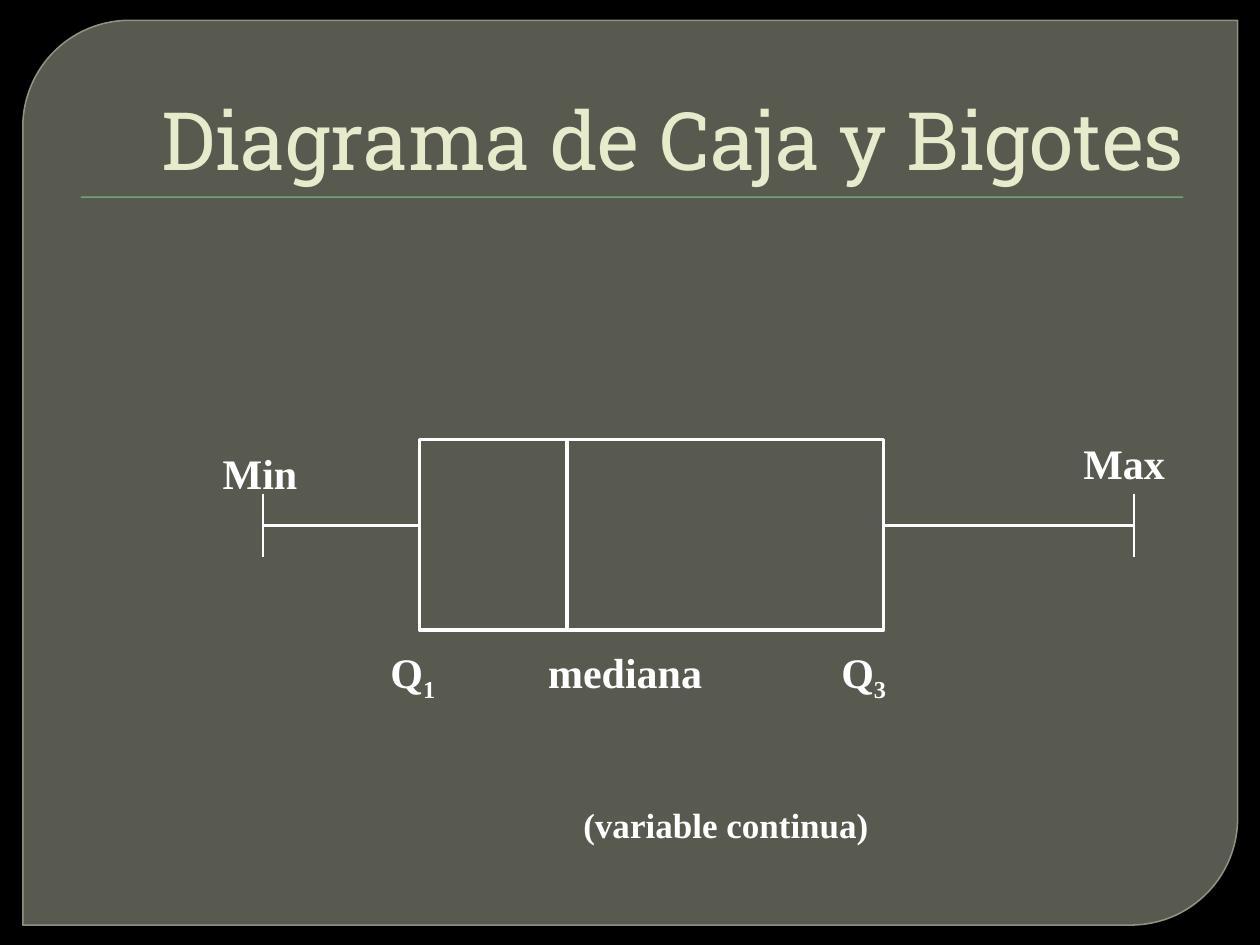
"""Builds a slide that explains the parts of a box-and-whisker diagram."""
from lxml import etree
from pptx import Presentation
from pptx import util as u
from pptx.dml.color import RGBColor
from pptx.enum import shapes, text
from pptx.oxml.ns import qn

COLORS = {"backdrop": "000000", "panel": "888B7B", "edge": "9DA090",
          "rule": "72A376", "title": "E7EACB", "plot": "FFFFFF"}


def color(name):
    return RGBColor.from_string(COLORS[name])


def set_alpha(fill_format, percent):
    rgb = fill_format.fore_color._xFill.find(qn("a:srgbClr"))
    etree.SubElement(rgb, qn("a:alpha")).set("val", str(percent * 1000))


def add_outline(slide, preset, left, top, width, height, fill=None, line=None, weight=1):
    outline = slide.shapes.add_shape(
        preset, u.Cm(left), u.Cm(top), u.Cm(width), u.Cm(height))
    outline.shadow.inherit = False
    if fill:
        outline.fill.solid()
        outline.fill.fore_color.rgb = color(fill)
    else:
        outline.fill.background()
    if line:
        outline.line.color.rgb = color(line)
        outline.line.width = u.Pt(weight)
    else:
        outline.line.fill.background()
    return outline


def add_line(slide, x1, y1, x2, y2, weight):
    line = slide.shapes.add_connector(
        shapes.MSO_CONNECTOR.STRAIGHT, u.Cm(x1), u.Cm(y1), u.Cm(x2), u.Cm(y2))
    line.line.color.rgb = color("plot")
    line.line.width = u.Pt(weight)
    etree.SubElement(line._element.spPr, qn("a:effectLst"))


def write(frame, words, subscript="", size=24, font="Times New Roman",
          ink="plot", bold=True, align=text.PP_ALIGN.LEFT):
    frame.word_wrap = True
    paragraph = frame.paragraphs[0]
    paragraph.alignment = align
    for part in filter(None, (words, subscript)):
        run = paragraph.add_run()
        run.text = part
        run.font.size = u.Pt(size)
        run.font.name = font
        run.font.bold = bold
        run.font.color.rgb = color(ink)
        if part == subscript:
            run._r.get_or_add_rPr().set("baseline", "-25000")


def add_label(slide, left, top, width, words, height=1.27, **style):
    label = slide.shapes.add_textbox(u.Cm(left), u.Cm(top), u.Cm(width), u.Cm(height))
    write(label.text_frame, words, **style)


def add_panel(slide, left, top, width, height):
    panel = add_outline(slide, shapes.MSO_SHAPE.ROUND_2_DIAG_RECTANGLE,
                        left, top, width, height, "panel", "edge", 0.87)
    panel.adjustments[0] = 0.118
    panel.adjustments[1] = 0
    set_alpha(panel.fill, 65)
    set_alpha(panel.line.fill, 88)


def add_heading(slide, left, top, width, height):
    add_outline(slide, shapes.MSO_SHAPE.RECTANGLE,
                left + 0.36, top + height + 0.07, width - 0.64, 0.03, "rule")
    title = slide.shapes.title
    title.left, title.top = u.Cm(left), u.Cm(top)
    title.width, title.height = u.Cm(width), u.Cm(height)
    title.text_frame.auto_size = text.MSO_AUTO_SIZE.NONE
    title.text_frame.vertical_anchor = text.MSO_ANCHOR.BOTTOM
    write(title.text_frame, "Diagrama de Caja y Bigotes", size=46, font="Roboto Slab",
          ink="title", bold=False, align=text.PP_ALIGN.RIGHT)


def add_box_plot(slide, left, top, width, height):
    q1, median, q3 = left + 3.16, left + 6.13, left + 12.51
    maximum = left + width
    axis = top + 1.73
    add_outline(slide, shapes.MSO_SHAPE.RECTANGLE,
                q1, top, q3 - q1, height, line="plot", weight=2)
    add_line(slide, median, top, median, top + height, 2)
    for extreme, quartile in ((left, q1), (maximum, q3)):
        add_line(slide, quartile, axis, extreme, axis, 2)
        add_line(slide, extreme, axis - 0.64, extreme, axis + 0.64, 1)
    below = top + height + 0.2
    add_label(slide, q1 - 0.84, below, 2.11, "Q", subscript="1")
    add_label(slide, median - 0.63, below, 3.81, "mediana")
    add_label(slide, q3 - 1.1, below, 2.34, "Q", subscript="3")
    add_label(slide, left - 1.06, top + 0.03, 2.54, "Min")
    add_label(slide, maximum - 1.27, top - 0.17, 2.34, "Max")


def main():
    deck = Presentation()
    deck.slide_width, deck.slide_height = u.Cm(25.4), u.Cm(19.05)
    slide = deck.slides.add_slide(deck.slide_layouts[5])
    slide.background.fill.solid()
    slide.background.fill.fore_color.rgb = color("backdrop")
    add_panel(slide, 0.46, 0.41, 24.49, 18.24)
    add_heading(slide, 1.27, 0.71, 22.86, 3.18)
    slide.shapes._spTree.append(slide.shapes.title._element)
    add_box_plot(slide, 5.3, 8.86, 17.56, 3.84)
    add_label(slide, 11.51, 16.08, 11.71, "(variable continua)", height=1.09, size=20)
    deck.save("out.pptx")


main()
